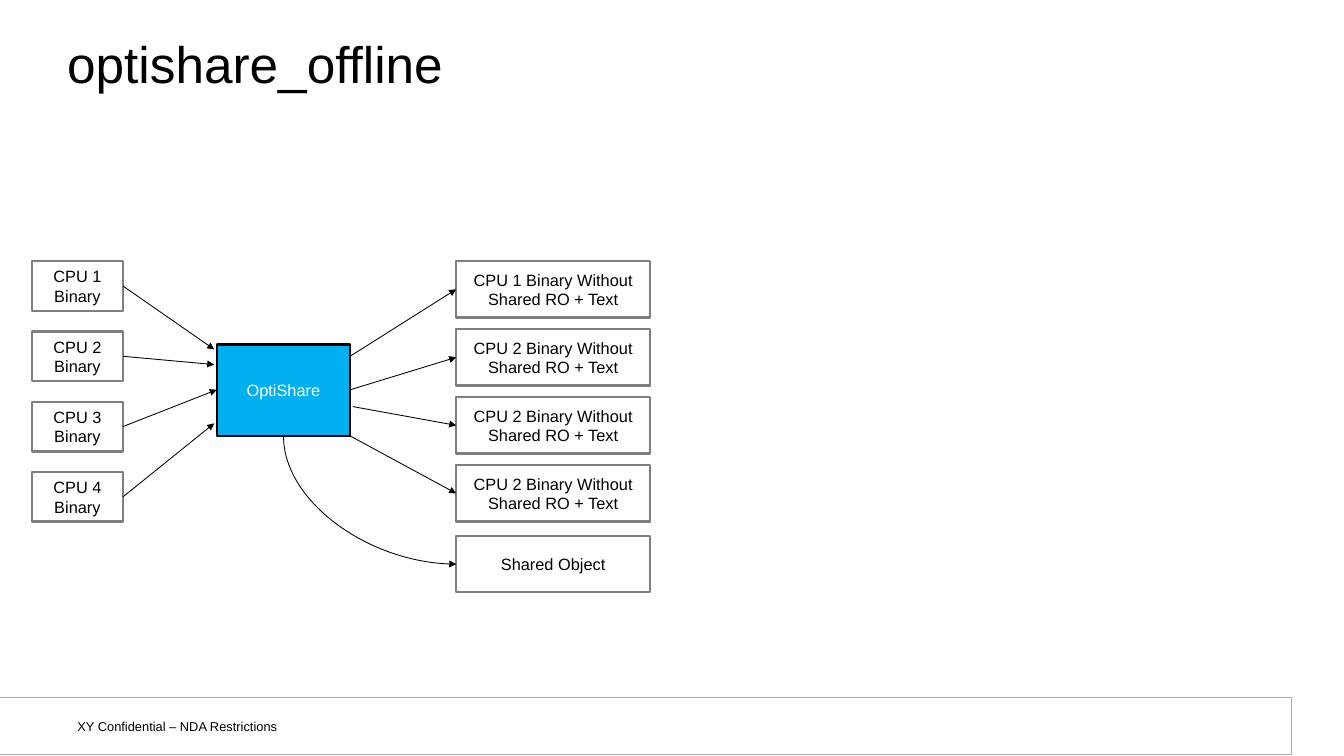
from dataclasses import dataclass

import pptx
import pptx.dml.color
import pptx.enum.shapes
import pptx.enum.text
import pptx.oxml
import pptx.oxml.ns
import pptx.shapes.autoshape
import pptx.shapes.connector
import pptx.slide
import pptx.text.text
import pptx.util

Pt = pptx.util.Pt
ANCHOR = pptx.enum.text.MSO_ANCHOR
ALIGN = pptx.enum.text.PP_ALIGN
CONNECTOR = pptx.enum.shapes.MSO_CONNECTOR


@dataclass(frozen=True)
class Theme:
    font: str = "Arial"
    black: str = "000000"
    white: str = "FFFFFF"
    accent: str = "00B0F0"
    box_line: str = "7F7F7F"
    footer_line: str = "AAAAAA"
    title_size: float = 44
    box_size: float = 14
    footer_size: float = 11
    thick: float = 2
    thin: float = 0.75


THEME = Theme()


@dataclass(frozen=True)
class Box:
    left: float
    top: float
    width: float
    height: float
    text: str = ""
    fill: str = THEME.white
    line: str | None = THEME.box_line
    line_width: float = THEME.thick
    color: str = THEME.black

    @property
    def right(self) -> float:
        return self.left + self.width

    @property
    def middle(self) -> float:
        return self.top + self.height / 2


@dataclass(frozen=True)
class Arrow:
    start_x: float
    start_y: float
    end_x: float
    end_y: float


@dataclass(frozen=True)
class Label:
    left: float
    top: float
    width: float
    height: float
    text: str
    size: float
    insets: tuple[float, float, float, float]
    anchor: ANCHOR
    line_spacing: float = 1.0


def rgb(color: str) -> pptx.dml.color.RGBColor:
    return pptx.dml.color.RGBColor.from_string(color)


def format_runs(paragraph: pptx.text.text._Paragraph, size: float, color: str) -> None:
    for run in paragraph.runs:
        run.font.name = THEME.font
        run.font.size = Pt(size)
        run.font.color.rgb = rgb(color)


def draw_box(slide: pptx.slide.Slide, box: Box) -> pptx.shapes.autoshape.Shape:
    shape = slide.shapes.add_shape(
        pptx.enum.shapes.MSO_SHAPE.RECTANGLE,
        Pt(box.left), Pt(box.top), Pt(box.width), Pt(box.height),
    )
    shape.shadow.inherit = False
    shape.fill.solid()
    shape.fill.fore_color.rgb = rgb(box.fill)
    if box.line is None:
        shape.line.fill.background()
    else:
        shape.line.color.rgb = rgb(box.line)
        shape.line.width = Pt(box.line_width)
    if box.text:
        frame = shape.text_frame
        frame.text = box.text
        frame.word_wrap = True
        frame.vertical_anchor = ANCHOR.MIDDLE
        frame.paragraphs[0].alignment = ALIGN.CENTER
        format_runs(frame.paragraphs[0], THEME.box_size, box.color)
    return shape


def draw_label(slide: pptx.slide.Slide, label: Label) -> None:
    shape = slide.shapes.add_textbox(
        Pt(label.left), Pt(label.top), Pt(label.width), Pt(label.height)
    )
    frame = shape.text_frame
    frame.text = label.text
    frame.word_wrap = True
    frame.vertical_anchor = label.anchor
    left, top, right, bottom = label.insets
    frame.margin_left, frame.margin_top = Pt(left), Pt(top)
    frame.margin_right, frame.margin_bottom = Pt(right), Pt(bottom)
    frame.paragraphs[0].line_spacing = label.line_spacing
    format_runs(frame.paragraphs[0], label.size, THEME.black)


def draw_arrow(
    slide: pptx.slide.Slide, arrow: Arrow, kind: CONNECTOR = CONNECTOR.STRAIGHT
) -> pptx.shapes.connector.Connector:
    connector = slide.shapes.add_connector(
        kind, Pt(arrow.start_x), Pt(arrow.start_y), Pt(arrow.end_x), Pt(arrow.end_y)
    )
    connector.line.color.rgb = rgb(THEME.black)
    connector.line.width = Pt(THEME.thin)
    tail = pptx.oxml.parse_xml(f'<a:tailEnd {pptx.oxml.ns.nsdecls("a")} type="triangle"/>')
    connector.line._get_or_add_ln().append(tail)
    effects = pptx.oxml.parse_xml(f'<a:effectLst {pptx.oxml.ns.nsdecls("a")}/>')
    connector._element.spPr.append(effects)
    return connector


def draw_curved_arrow(slide: pptx.slide.Slide, arrow: Arrow) -> None:
    """Draw a quarter bend that leaves downwards and arrives rightwards."""
    center_x = (arrow.start_x + arrow.end_x) / 2
    center_y = (arrow.start_y + arrow.end_y) / 2
    half_width = (arrow.end_y - arrow.start_y) / 2
    half_height = (arrow.end_x - arrow.start_x) / 2
    unrotated = Arrow(
        center_x + half_width, center_y - half_height,
        center_x - half_width, center_y + half_height,
    )
    properties = draw_arrow(slide, unrotated, CONNECTOR.CURVE)._element.spPr
    properties.find(pptx.oxml.ns.qn("a:prstGeom")).set("prst", "curvedConnector2")
    properties.find(pptx.oxml.ns.qn("a:xfrm")).set("rot", str(270 * 60000))


def main() -> None:
    presentation = pptx.Presentation()
    presentation.slide_width, presentation.slide_height = Pt(1152), Pt(648)
    slide = presentation.slides.add_slide(presentation.slide_layouts[6])

    draw_box(slide, Box(5, 597.6, 1101, 43.2, line=None))
    draw_box(slide, Box(-2.2, 597.6, 1108.8, 49,
                        line=THEME.footer_line, line_width=THEME.thin))
    draw_label(slide, Label(56.9, 610.6, 265.7, 22.3, "XY Confidential – NDA Restrictions",
                            THEME.footer_size, (9.4, 5, 9.4, 5), ANCHOR.TOP))
    draw_label(slide, Label(57.6, 26, 1036.8, 108, "optishare_offline",
                            THEME.title_size, (0, 0, 0, 46), ANCHOR.MIDDLE, 0.9))

    inputs = [Box(27.4, 223.9 + 60.25 * row, 78, 42.5, f"CPU {row + 1} Binary")
              for row in range(4)]
    outputs = [Box(391, 223.9 + 58.3 * row, 166.3, 48.2,
                   f"CPU {number} Binary Without Shared RO + Text")
               for row, number in enumerate((1, 2, 2, 2))]
    optimizer = Box(185.8, 295.2, 114.4, 78.8, "OptiShare", fill=THEME.accent,
                    line=THEME.black, color=THEME.white)
    shared = Box(391, 459.4, 166.3, 48.2, "Shared Object")
    for box in (*inputs, optimizer, *outputs, shared):
        draw_box(slide, box)

    entries = ((183.6, 299.5), (183.6, 312.5), (185.8, 334.1), (183.6, 362.9))
    exits = ((300.2, 305.3), (300.2, 334.1), (302.4, 348.5), (300.2, 373.7))
    for source, entry in zip(inputs, entries):
        draw_arrow(slide, Arrow(source.right, source.middle, *entry))
    for target, exit_point in zip(outputs, exits):
        draw_arrow(slide, Arrow(*exit_point, target.left, target.middle))
    draw_curved_arrow(slide, Arrow(optimizer.left + optimizer.width / 2,
                                   optimizer.top + optimizer.height,
                                   shared.left, shared.middle))
    presentation.save("out.pptx")


if __name__ == "__main__":
    main()
